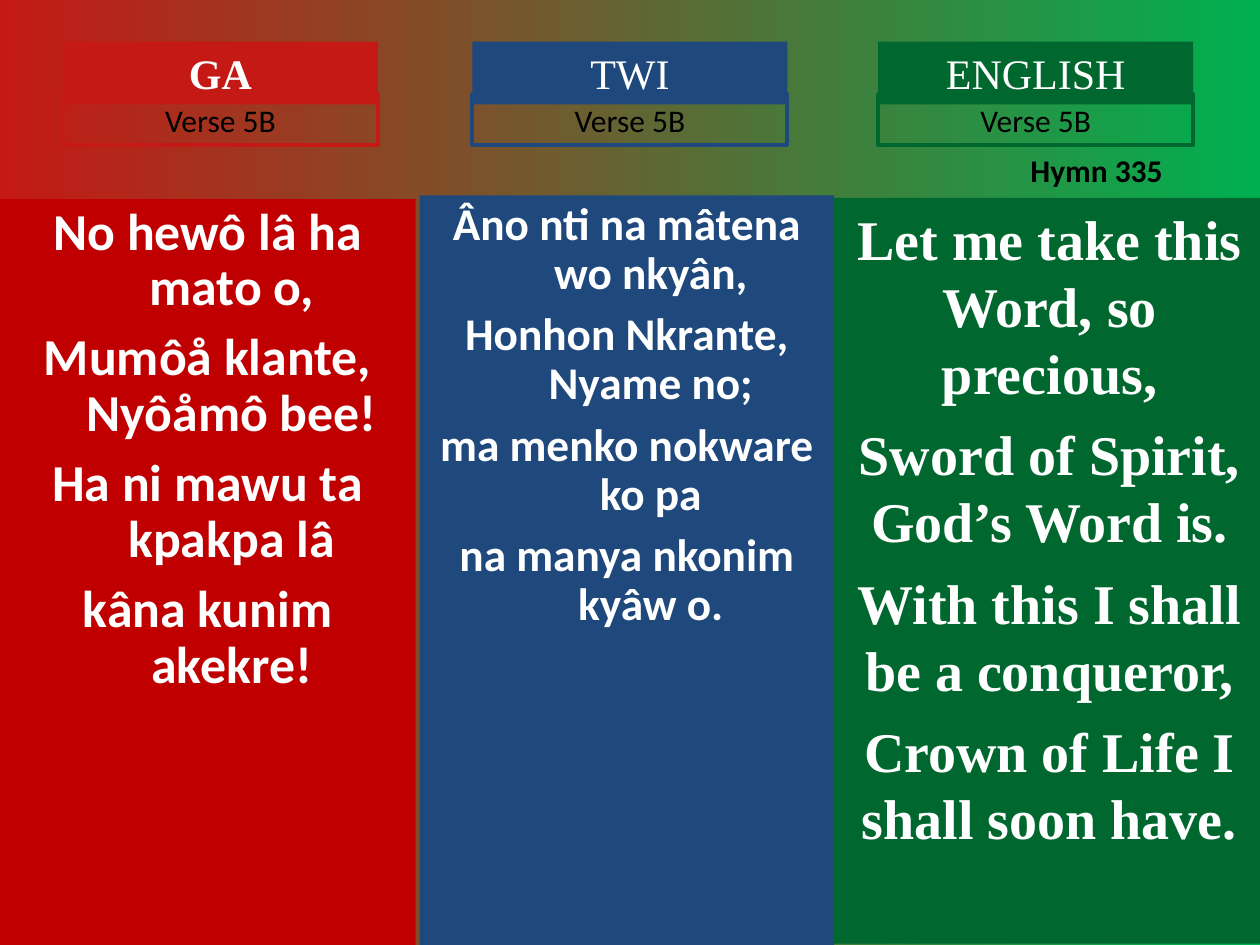
import pptx
import pptx.dml.color
import pptx.enum.shapes
import pptx.enum.text
import pptx.util

Inches = pptx.util.Inches
Pt = pptx.util.Pt
ALIGN = pptx.enum.text.PP_ALIGN

HEADING = {"size": Pt(24), "name": "Times New Roman"}
VERSE = {"size": Pt(18), "name": "Calibri"}
HYMN = VERSE | {"bold": True}

COLUMNS = [
    {
        "language": "GA", "heading_bold": True, "label_left": 0.5,
        "label_color": "C51915", "panel_color": "C00000",
        "box": (0, 1.58, 3.3, 5.92),
        "font": {"size": Pt(29.6), "name": "Calibri", "bold": True},
        "spacing": {"line_spacing": 0.9}, "gap": 8, "hanging": 0.38,
        "lines": ["No hewô lâ ha mato o,", "Mumôå klante, Nyôåmô bee!",
                  "Ha ni mawu ta kpakpa lâ", "kâna kunim akekre!"],
    },
    {
        "language": "TWI", "heading_bold": False, "label_left": 3.75,
        "label_color": "1F497D", "panel_color": "1F497D",
        "box": (3.33, 1.55, 3.29, 5.95),
        "font": {"size": Pt(25.9), "name": "Calibri", "bold": True},
        "spacing": {"line_spacing": 0.9}, "gap": 7, "hanging": 0.38,
        "lines": ["Âno nti na mâtena wo nkyân,", "Honhon Nkrante, Nyame no;",
                  "ma menko nokware ko pa", "na manya nkonim kyâw o."],
    },
    {
        "language": "ENGLISH", "heading_bold": False, "label_left": 6.97,
        "label_color": "00682F", "panel_color": "00682F",
        "box": (6.62, 1.57, 3.42, 5.92),
        "font": {"size": Pt(32), "name": "Times New Roman", "bold": True},
        "spacing": {}, "gap": 8, "hanging": 0,
        "lines": ["Let me take this Word, so precious,",
                  "Sword of Spirit, God’s Word is.",
                  "With this I shall be a conqueror,",
                  "Crown of Life I shall soon have."],
    },
]


def color(value):
    return pptx.dml.color.RGBColor.from_string(value)


def apply(target, values):
    for name, value in values.items():
        setattr(target, name, value)


def write_lines(shape, lines, font, font_color, alignment=ALIGN.CENTER,
                spacing=None, gap=0, hanging=0):
    frame = shape.text_frame
    apply(frame, {
        "word_wrap": True,
        "vertical_anchor": pptx.enum.text.MSO_ANCHOR.TOP,
        "margin_left": Inches(0.1), "margin_right": Inches(0.1),
        "margin_top": Inches(0.05), "margin_bottom": Inches(0.05),
    })
    for index, line in enumerate(lines):
        paragraph = frame.add_paragraph() if index else frame.paragraphs[0]
        paragraph.text = line
        apply(paragraph, {"alignment": alignment} | (spacing or {}))
        if index:
            paragraph.space_before = Pt(gap)
        if hanging:
            properties = paragraph._p.get_or_add_pPr()
            properties.set("marL", str(Inches(hanging)))
            properties.set("indent", str(-Inches(hanging)))
        apply(paragraph.font, font)
        paragraph.font.color.rgb = color(font_color)


def add_rectangle(slide, box, fill=None, line=None):
    shape = slide.shapes.add_shape(
        pptx.enum.shapes.MSO_SHAPE.RECTANGLE, *map(Inches, box))
    shape.shadow.inherit = False
    if fill:
        shape.fill.solid()
        shape.fill.fore_color.rgb = color(fill)
    else:
        shape.fill.background()
    if line:
        shape.line.color.rgb = color(line)
        shape.line.width = Pt(2.25)
    else:
        shape.line.fill.background()
    return shape


def add_panel(slide, box, column):
    panel = add_rectangle(slide, box, fill=column["panel_color"])
    write_lines(panel, column["lines"], column["font"], "FFFFFF",
                spacing=column["spacing"], gap=column["gap"],
                hanging=column["hanging"])


def add_label(slide, box, column):
    left, top, width, height = box
    heading = add_rectangle(slide, (left, top, width, 0.5),
                            fill=column["label_color"])
    write_lines(heading, [column["language"]],
                HEADING | {"bold": column["heading_bold"]}, "FFFFFF")
    verse = add_rectangle(slide, (left, top + height - 0.4, width, 0.4),
                          line=column["label_color"])
    write_lines(verse, ["Verse 5B"], VERSE, "000000")


def add_hymn_number(slide, box):
    shape = slide.shapes.add_textbox(*map(Inches, box))
    write_lines(shape, ["Hymn 335"], HYMN, "000000", ALIGN.LEFT)


def fill_background(slide, stops):
    fill = slide.background.fill
    fill.gradient()
    fill.gradient_angle = 0
    for stop, position, value in zip(fill.gradient_stops, (0, 1), stops):
        stop.position = position
        stop.color.rgb = color(value)


def main():
    presentation = pptx.Presentation()
    apply(presentation, {"slide_width": Inches(10), "slide_height": Inches(7.5)})
    slide = presentation.slides.add_slide(presentation.slide_layouts[6])
    fill_background(slide, ("C51915", "00B050"))
    for column in COLUMNS:
        add_panel(slide, column["box"], column)
        add_label(slide, (column["label_left"], 0.33, 2.5, 0.82), column)
    add_hymn_number(slide, (8.08, 1.15, 1.5, 0.4))
    presentation.save("out.pptx")


if __name__ == "__main__":
    main()
